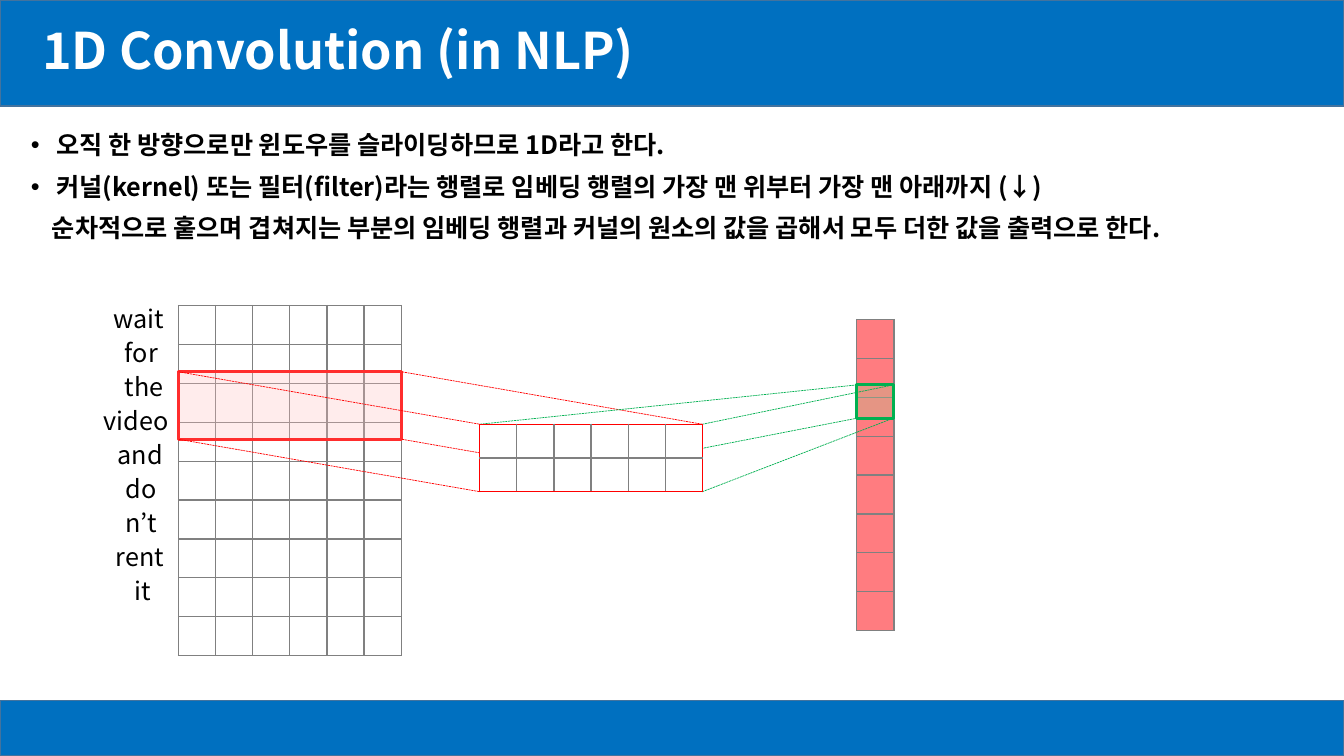
from collections import namedtuple

from lxml.etree import SubElement
from pptx import Presentation
from pptx.dml.color import RGBColor
from pptx.enum.dml import MSO_LINE
from pptx.enum.shapes import MSO_CONNECTOR, MSO_SHAPE
from pptx.enum.text import MSO_ANCHOR
from pptx.oxml.ns import qn
from pptx.util import Cm, Pt

Box = namedtuple("Box", "left top width height")

FONT = "Noto Sans CJK KR"
COLORS = {
    "band": "0070C0", "band_line": "43739E", "white": "FFFFFF", "black": "000000",
    "grid": "808080", "output": "FF7C80", "window": "FFC1C1", "window_line": "FF2D2D",
    "red": "FF0000", "mark": "A9D18E", "green": "00B050",
}
TITLE_FORMAT = {"size": Pt(36), "bold": True, "name": FONT}
BODY_FORMAT = {"size": Pt(18), "bold": True, "name": FONT}
WORD_FORMAT = {"size": Pt(18), "bold": False, "name": FONT}
CELL_FORMAT = {"margin_left": 0, "margin_right": 0, "margin_top": 0, "margin_bottom": 0}
BULLETS = [
    ("오직 한 방향으로만 윈도우를 슬라이딩하므로 1D라고 한다.", True),
    ("커널(kernel) 또는 필터(filter)라는 행렬로 임베딩 행렬의 가장 맨 위부터 가장 맨 아래까지 (↓)", True),
    ("순차적으로 훝으며 겹쳐지는 부분의 임베딩 행렬과 커널의 원소의 값을 곱해서 모두 더한 값을 출력으로 한다.", False),
]
WORDS = [
    ("wait", 0.26), ("for", 0.54), ("the", 0.54), ("video", 0), ("and", 0.36),
    ("do", 0.56), ("n’t", 0.56), ("rent", 0.31), ("it", 0.79),
]


def color(name):
    """Return the named colour."""
    return RGBColor.from_string(COLORS[name])


def apply_format(target, values):
    """Set every attribute in values on the target."""
    for name, value in values.items():
        setattr(target, name, value)


def lengths(box):
    """Return the box in centimetre lengths."""
    return [Cm(value) for value in box]


def corners(box):
    """Return the four corner points of a box."""
    return [(box.left + x, box.top + y) for y in (0, box.height) for x in (0, box.width)]


def write(para, text, values, color_name):
    """Add one formatted span of text to a paragraph."""
    span = para.add_run()
    span.text = text
    apply_format(span.font, values)
    span.font.color.rgb = color(color_name)
    SubElement(span.font._element, qn("a:ea"), typeface=FONT)


def add_rectangle(page, box, fill, line, width, opacity=100):
    """Draw a rectangle with an optional see-through fill."""
    shape = page.shapes.add_shape(MSO_SHAPE.RECTANGLE, *lengths(box))
    shape.shadow.inherit = False
    shape.fill.solid()
    shape.fill.fore_color.rgb = color(fill)
    shape.line.color.rgb = color(line)
    shape.line.width = Pt(width)
    if opacity < 100:
        paint = shape._element.spPr.find(qn("a:solidFill")).find(qn("a:srgbClr"))
        SubElement(paint, qn("a:alpha"), val=str(opacity * 1000))


def add_border(cell, side, color_name):
    """Draw one border of a table cell."""
    line = SubElement(cell._tc.get_or_add_tcPr(), qn(f"a:ln{side}"), w=str(Pt(1)))
    SubElement(SubElement(line, qn("a:solidFill")), qn("a:srgbClr"), val=COLORS[color_name])


def add_grid(page, box, rows, columns, fill, outline="grid"):
    """Draw a matrix as a table with an outline colour."""
    table = page.shapes.add_table(rows, columns, *lengths(box)).table
    apply_format(table, {"first_row": False, "horz_banding": False})
    for row in table.rows:
        row.height = Cm(box.height / rows)
    for column in table.columns:
        column.width = Cm(box.width / columns)
    for index, cell in enumerate(table.iter_cells()):
        row, column = divmod(index, columns)
        edges = {"L": column == 0, "R": column == columns - 1, "T": row == 0, "B": row == rows - 1}
        for side, outer in edges.items():
            add_border(cell, side, outline if outer else "grid")
        apply_format(cell, CELL_FORMAT)
        cell.fill.solid()
        cell.fill.fore_color.rgb = color(fill)


def add_projection(page, source, target, color_name):
    """Join matching corners of two boxes with dashed lines."""
    for start, end in zip(corners(source), corners(target)):
        line = page.shapes.add_connector(MSO_CONNECTOR.STRAIGHT, *lengths(start + end))
        line.line.color.rgb = color(color_name)
        apply_format(line.line, {"width": Pt(0.5), "dash_style": MSO_LINE.SQUARE_DOT})
        SubElement(line._element.spPr, qn("a:effectLst"))


def add_header(page, box):
    """Draw the top band and place the title on it."""
    add_rectangle(page, box, "band", "band_line", 1)
    title = page.shapes.title
    page.shapes._spTree.append(title._element)
    place = lengths(Box(box.left + 0.81, box.top + 0.33, 29.21, 2.03))
    apply_format(title, dict(zip(Box._fields, place)))
    frame = title.text_frame
    apply_format(frame, {"vertical_anchor": MSO_ANCHOR.MIDDLE, "word_wrap": True})
    para = frame.paragraphs[0]
    para.line_spacing = 0.9
    para._p.get_or_add_pPr().set("algn", "l")
    write(para, "1D Convolution (in NLP)", TITLE_FORMAT, "white")


def add_explanation(page, box):
    """Write the bulleted explanation."""
    frame = page.shapes.add_textbox(*lengths(box)).text_frame
    frame.word_wrap = True
    for index, (text, bulleted) in enumerate(BULLETS):
        para = frame.add_paragraph() if index else frame.paragraphs[0]
        apply_format(para, {"line_spacing": 0.9, "space_before": Pt(10)})
        properties = para._p.get_or_add_pPr()
        properties.set("marL", str(Cm(0.64 if bulleted else 0.53)))
        if bulleted:
            properties.set("indent", str(-Cm(0.64)))
            SubElement(properties, qn("a:buFont"), typeface="Arial")
            SubElement(properties, qn("a:buChar"), char="•")
        write(para, text, BODY_FORMAT, "black")


def add_words(page, box):
    """Write one input word for each step down the box."""
    step = box.height / len(WORDS)
    for index, (word, offset) in enumerate(WORDS):
        place = Box(box.left + offset, box.top + index * step, box.width, 1.03)
        frame = page.shapes.add_textbox(*lengths(place)).text_frame
        frame.word_wrap = True
        write(frame.paragraphs[0], word, WORD_FORMAT, "black")


def add_convolution(page, box):
    """Draw the embedding matrix, the kernel and the output vector."""
    left, top = box.left, box.top
    embedding = Box(left + 2.14, top + 0.18, 5.61, 8.82)
    window = Box(embedding.left, top + 1.85, 5.63, 1.7)
    kernel = Box(left + 9.73, top + 3.17, 5.61, 1.7)
    output = Box(left + 19.23, top + 0.53, 0.94, 7.84)
    mark = Box(output.left, top + 2.18, 0.92, 0.84)
    add_grid(page, output, 8, 1, "output")
    add_grid(page, embedding, 9, 6, "white")
    add_words(page, Box(left, top, 5.44, 7.71))
    add_rectangle(page, window, "window", "window_line", 2, 30)
    add_projection(page, window, kernel, "red")
    add_rectangle(page, mark, "mark", "green", 2, 30)
    add_projection(page, kernel, mark, "green")
    add_grid(page, kernel, 2, 6, "white", "red")


def main():
    """Build and save the deck."""
    deck = Presentation()
    apply_format(deck, {"slide_width": Cm(33.87), "slide_height": Cm(19.05)})
    page = deck.slides.add_slide(deck.slide_layouts[5])
    add_rectangle(page, Box(0, 17.65, 33.87, 1.4), "band", "band_line", 1)
    add_header(page, Box(0, 0, 33.87, 2.67))
    add_explanation(page, Box(0.53, 3.23, 33.32, 12.09))
    add_convolution(page, Box(2.36, 7.52, 20.17, 9))
    deck.save("out.pptx")


if __name__ == "__main__":
    main()
